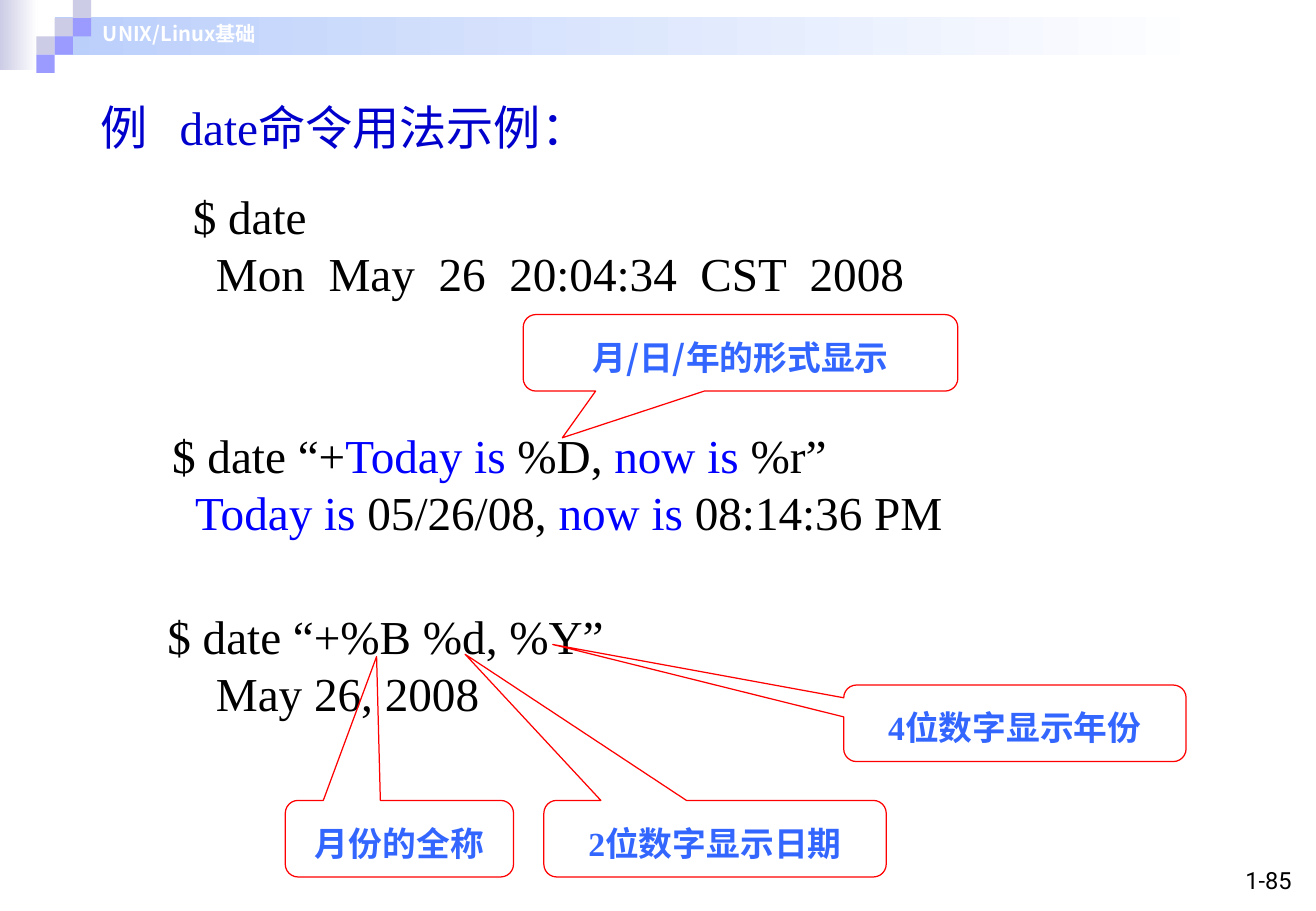
from dataclasses import dataclass

from lxml import etree
from pptx import Presentation
from pptx.dml.color import RGBColor
from pptx.enum.shapes import MSO_CONNECTOR, MSO_SHAPE
from pptx.enum.text import MSO_ANCHOR, MSO_AUTO_SIZE, PP_ALIGN
from pptx.oxml.ns import qn
from pptx.util import Inches, Pt

RECT = MSO_SHAPE.RECTANGLE
CALLOUT = MSO_SHAPE.ROUNDED_RECTANGULAR_CALLOUT
STRAIGHT = MSO_CONNECTOR.STRAIGHT
TOP, BOTTOM = MSO_ANCHOR.TOP, MSO_ANCHOR.BOTTOM
LEFT, CENTER, RIGHT = PP_ALIGN.LEFT, PP_ALIGN.CENTER, PP_ALIGN.RIGHT


@dataclass(frozen=True)
class Theme:
    white: str = "FFFFFF"
    black: str = "000000"
    title: str = "0000CC"
    literal: str = "0000FF"
    note: str = "3366FF"
    note_line: str = "FF0000"
    pale: str = "CCCCE6"
    violet: str = "9B9BFF"
    band: str = "BBCFFB"
    serif: str = "Times New Roman"
    cjk: str = "Noto Sans CJK SC"
    header_font: str = "Noto Sans CJK JP"
    number_font: str = "Roboto"
    body_size: int = 28
    note_size: int = 20
    number_size: int = 14
    header_size: int = 12
    body_pitch: float = 33.8


class SlideBuilder:
    def __init__(self, prs, theme):
        self.theme = theme
        self.slide = prs.slides.add_slide(prs.slide_layouts[5])
        self.shapes = self.slide.shapes

    def style(self, r, size, color, font, cjk=None, bold=False):
        r.font.size = Pt(size)
        r.font.bold = bold
        r.font.color.rgb = RGBColor.from_string(color)
        r.font.name = font
        ea = etree.Element(qn("a:ea"), typeface=cjk or self.theme.cjk)
        r.font._element.find(qn("a:latin")).addnext(ea)

    def text_shadow(self, r):
        effects = etree.Element(qn("a:effectLst"))
        shadow = etree.SubElement(effects, qn("a:outerShdw"), dist="17961", dir="2700000")
        etree.SubElement(shadow, qn("a:srgbClr"), val="808080")
        r.font._element.find(qn("a:solidFill")).addnext(effects)

    def rect(self, x, y, w, h, color, end=None):
        s = self.shapes.add_shape(RECT, Inches(x), Inches(y), Inches(w), Inches(h))
        s.shadow.inherit = False
        s.line.fill.background()
        if end is None:
            s.fill.solid()
            s.fill.fore_color.rgb = RGBColor.from_string(color)
            return
        s.fill.gradient()
        s.fill.gradient_angle = 0
        for stop, value in zip(s.fill.gradient_stops, (color, end)):
            stop.color.rgb = RGBColor.from_string(value)

    def line(self, x1, y1, x2, y2, color, width):
        s = self.shapes.add_connector(STRAIGHT, Inches(x1), Inches(y1), Inches(x2), Inches(y2))
        s.line.color.rgb = RGBColor.from_string(color)
        s.line.width = Pt(width)
        etree.SubElement(s._element.spPr, qn("a:effectLst"))

    def title(self, x, y, w, h, text, tab):
        s = self.shapes.title
        s.left, s.top, s.width, s.height = Inches(x), Inches(y), Inches(w), Inches(h)
        tf = s.text_frame
        tf.text = text
        tf.auto_size = MSO_AUTO_SIZE.NONE
        tf.vertical_anchor = BOTTOM
        p = tf.paragraphs[0]
        p.alignment = LEFT
        tabs = etree.SubElement(p._p.get_or_add_pPr(), qn("a:tabLst"))
        etree.SubElement(tabs, qn("a:tab"), pos=str(Inches(tab)), algn="l")
        for r in p.runs:
            self.style(r, self.theme.body_size, self.theme.title, self.theme.serif)

    def text_box(self, x, y, w, h, anchor=TOP):
        s = self.shapes.add_textbox(Inches(x), Inches(y), Inches(w), Inches(h))
        tf = s.text_frame
        tf.word_wrap = True
        tf.vertical_anchor = anchor
        return tf

    def label(self, x, y, w, h, text, size, color, font, align=LEFT, anchor=TOP,
              bold=False, shadow=False):
        tf = self.text_box(x, y, w, h, anchor)
        tf.text = text
        p = tf.paragraphs[0]
        p.alignment = align
        self.style(p.runs[0], size, color, font, font, bold)
        if shadow:
            self.text_shadow(p.runs[0])

    def terminal(self, x, y, w, h, lines):
        tf = self.text_box(x, y, w, h)
        for i, (indent, parts) in enumerate(lines):
            p = tf.add_paragraph() if i else tf.paragraphs[0]
            p.line_spacing = Pt(self.theme.body_pitch)
            p._p.get_or_add_pPr().set("marL", str(Inches(indent)))
            for text, color in parts:
                r = p.add_run()
                r.text = text
                self.style(r, self.theme.body_size, color, self.theme.serif)

    def callout(self, x, y, w, h, tip, text, font):
        s = self.shapes.add_shape(CALLOUT, Inches(x), Inches(y), Inches(w), Inches(h))
        s.shadow.inherit = False
        s.fill.background()
        s.line.color.rgb = RGBColor.from_string(self.theme.note_line)
        s.line.width = Pt(0.75)
        s.adjustments[0], s.adjustments[1] = tip
        tf = s.text_frame
        tf.text = text
        tf.word_wrap = True
        tf.vertical_anchor = TOP
        p = tf.paragraphs[0]
        p.alignment = CENTER
        p.line_spacing = 1.3
        self.style(p.runs[0], self.theme.note_size, self.theme.note, font, bold=True)


def main():
    prs = Presentation()
    prs.slide_width, prs.slide_height = Inches(10.84), Inches(7.5)
    theme = Theme()
    b = SlideBuilder(prs, theme)
    black, blue = theme.black, theme.literal

    b.line(0.2, 0.49, 7.44, 0.49, theme.white, 2.25)
    b.rect(0, 0, 0.31, 0.58, theme.pale, theme.white)
    b.rect(0.45, 0.14, 9.55, 0.31, theme.band, theme.white)
    tile = 0.15
    for column, row, color in (
        (3, 1, theme.pale), (4, 0, theme.pale), (4, 1, theme.violet),
        (2, 2, theme.pale), (3, 2, theme.violet), (2, 3, theme.violet),
    ):
        b.rect(column * tile, row * tile, tile, tile, color)
    b.label(0.75, 0.13, 5.35, 0.3, "UNIX/Linux基础", theme.header_size, theme.white,
            theme.header_font, bold=True, shadow=True)

    b.title(0.73, 0.47, 7.73, 0.86, "例\tdate命令用法示例：", 0.65)

    b.terminal(0.64, 1.49, 9.81, 1.73, [
        (0.85, [("$ date", black)]),
        (1.04, [("Mon  May  26  20:04:34  CST  2008", black)]),
    ])
    b.terminal(0.47, 3.46, 9.64, 1.65, [
        (0.85, [("$ date “+", black), ("Today is ", blue), ("%D, ", black),
                ("now is ", blue), ("%r”", black)]),
        (1.04, [("Today is ", blue), ("05/26/08, ", black),
                ("now is ", blue), ("08:14:36 PM", black)]),
    ])
    b.terminal(0.64, 4.95, 9.61, 1.65, [
        (0.64, [("$ date “+%B %d, %Y”", black)]),
        (1.04, [("May 26, 2008", black)]),
    ])

    for x, y, w, tip, text, font in (
        (4.31, 2.59, 3.58, (-0.41, 1.11), "月/日/年的形式显示", theme.cjk),
        (2.35, 6.59, 1.88, (-0.1, -2.38), "月份的全称", theme.serif),
        (4.48, 6.59, 2.82, (-0.73, -2.41), "2位数字显示日期", theme.serif),
        (6.95, 5.64, 2.82, (-1.35, -1.03), "4位数字显示年份", theme.serif),
    ):
        b.callout(x, y, w, 0.63, tip, text, font)

    b.label(9.51, 7.08, 1.23, 0.33, "1-85", theme.number_size, black,
            theme.number_font, RIGHT, BOTTOM)
    prs.save("out.pptx")


if __name__ == "__main__":
    main()
